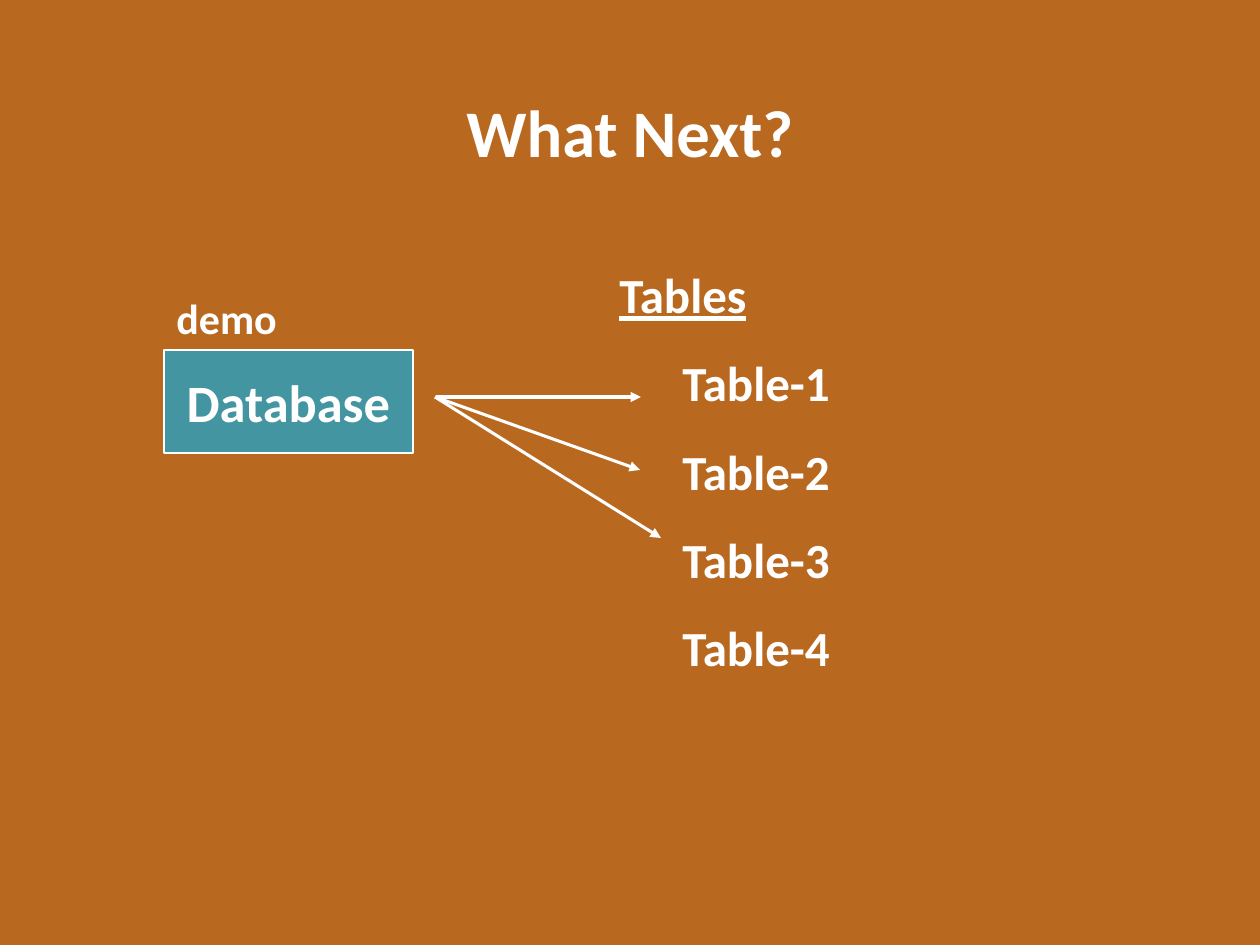
from lxml.etree import SubElement
from pptx import Presentation
from pptx.dml.color import RGBColor
from pptx.enum.shapes import MSO_CONNECTOR, MSO_SHAPE
from pptx.enum.text import MSO_ANCHOR, PP_ALIGN
from pptx.oxml.ns import qn
from pptx.util import Pt

BACKGROUND = RGBColor(0xB8, 0x68, 0x1F)
TEAL = RGBColor(0x44, 0x95, 0xA2)
WHITE = RGBColor(0xFF, 0xFF, 0xFF)


def px(*values):
    """Turn lengths in px (126 to the inch) into EMU."""
    return [round(v * 914400 / 126) for v in values]


def style(p, size, align=PP_ALIGN.LEFT, spacing=1.0):
    p.alignment = align
    p.line_spacing = spacing
    p.font.name = "Calibri"
    p.font.size = Pt(size)
    p.font.bold = True
    p.font.color.rgb = WHITE


prs = Presentation()
prs.slide_width, prs.slide_height = px(1260, 945)
s = prs.slides.add_slide(prs.slide_layouts[5])
s.background.fill.solid()
s.background.fill.fore_color.rgb = BACKGROUND

# Title
title = s.shapes.title
title.left, title.top, title.width, title.height = px(132, 92, 996, 88)
tf = title.text_frame
tf.text = "What Next?"
tf.vertical_anchor = MSO_ANCHOR.MIDDLE
style(tf.paragraphs[0], 38, PP_ALIGN.CENTER, 0.9)

# Database box and its name
database = s.shapes.add_shape(MSO_SHAPE.RECTANGLE, *px(164, 350, 249, 103))
database.shadow.inherit = False
database.fill.solid()
database.fill.fore_color.rgb = TEAL
database.line.color.rgb = WHITE
database.line.width = Pt(1)
tf = database.text_frame
tf.text = "Database"
tf.vertical_anchor = MSO_ANCHOR.MIDDLE
style(tf.paragraphs[0], 30, PP_ALIGN.CENTER)

tf = s.shapes.add_textbox(*px(164, 286, 249, 63)).text_frame
tf.word_wrap = True
tf.text = "demo"
style(tf.paragraphs[0], 24)

# Table list
tf = s.shapes.add_textbox(*px(607, 229, 630, 449)).text_frame
tf.word_wrap = True
tf.text = "\n".join(["Tables"] + [f"Table-{n}" for n in range(1, 5)])
heading, *tables = tf.paragraphs
style(heading, 28, spacing=1.5)
heading.font.underline = True
for p in tables:
    style(p, 28, spacing=1.5)
    p.level = 1
    pPr = p._p.get_or_add_pPr()
    pPr.set("marL", str(px(63)[0]))
    pPr.set("indent", "0")

# Arrows from the database to the tables
for x1, x2, y2 in [(436, 641, 397), (435, 640, 470), (435, 661, 538)]:
    arrow = s.shapes.add_connector(MSO_CONNECTOR.STRAIGHT, *px(x1, 397, x2, y2))
    arrow.line.color.rgb = WHITE
    arrow.line.width = Pt(1.75)
    SubElement(arrow.line._get_or_add_ln(), qn("a:tailEnd"), type="triangle")
    SubElement(arrow._element.spPr, qn("a:effectLst"))

prs.save("out.pptx")
